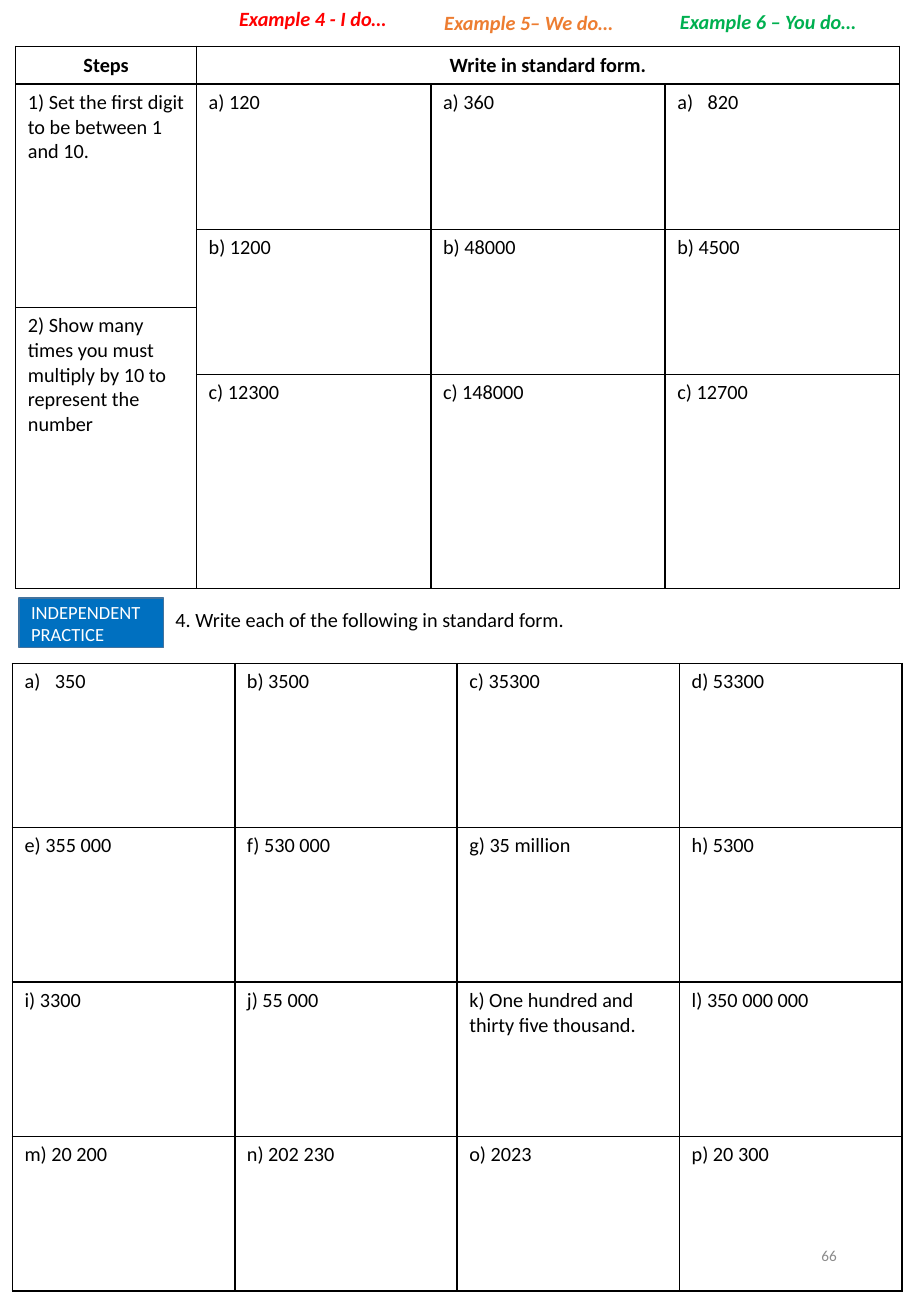
from dataclasses import dataclass

from lxml import etree
from pptx import Presentation
from pptx.dml.color import RGBColor
from pptx.enum.shapes import MSO_SHAPE
from pptx.enum.text import MSO_ANCHOR, MSO_AUTO_SIZE, PP_ALIGN
from pptx.oxml.ns import qn
from pptx.util import Cm, Pt

LEFT, CENTER, RIGHT = PP_ALIGN.LEFT, PP_ALIGN.CENTER, PP_ALIGN.RIGHT
TOP, MIDDLE = MSO_ANCHOR.TOP, MSO_ANCHOR.MIDDLE
RECTANGLE = MSO_SHAPE.RECTANGLE
GROW = MSO_AUTO_SIZE.SHAPE_TO_FIT_TEXT


@dataclass(frozen=True)
class Theme:
    font: str = "Calibri"
    black: str = "000000"
    white: str = "FFFFFF"
    red: str = "FF0000"
    orange: str = "ED7D31"
    green: str = "00B050"
    blue: str = "0070C0"
    blue_edge: str = "43739E"
    grey: str = "8C8C8C"
    body: float = 12
    label: float = 11
    small: float = 9
    line: float = 1


THEME = Theme()

# (text, first row, first column, last row, last column)
EXAMPLE_CELLS = [
    ("Steps", 0, 0, 0, 0),
    ("Write in standard form.", 0, 1, 0, 3),
    ("1) Set the first digit to be between 1 and 10.", 1, 0, 2, 0),
    ("2) Show many times you must multiply by 10 to represent the number", 3, 0, 4, 0),
    ("a) 120", 1, 1, 1, 1),
    ("a) 360", 1, 2, 1, 2),
    ("820", 1, 3, 1, 3),
    ("b) 1200", 2, 1, 3, 1),
    ("b) 48000", 2, 2, 3, 2),
    ("b) 4500", 2, 3, 3, 3),
    ("c) 12300", 4, 1, 4, 1),
    ("c) 148000", 4, 2, 4, 2),
    ("c) 12700", 4, 3, 4, 3),
]
PRACTICE_ROWS = [
    ["350", "b) 3500", "c) 35300", "d) 53300"],
    ["e) 355 000", "f) 530 000", "g) 35 million", "h) 5300"],
    ["i) 3300", "j) 55 000", "k) One hundred and thirty five thousand.", "l) 350 000 000"],
    ["m) 20 200", "n) 202 230", "o) 2023", "p) 20 300"],
]
EXAMPLE_HEADINGS = [
    ("Example 4 - I do…", THEME.red, 4.75, 0, 3.63),
    ("Example 5– We do…", THEME.orange, 9.04, 0.1, 4.09),
    ("Example 6 – You do…", THEME.green, 13.97, 0.07, 4.24),
]


def write(frame, text, size=THEME.body, color=THEME.black, bold=False,
          italic=False, align=LEFT):
    frame.text = text
    para = frame.paragraphs[0]
    para.alignment = align
    for span in para.runs:
        span.font.name = THEME.font
        span.font.size = Pt(size)
        span.font.color.rgb = RGBColor.from_string(color)
        span.font.bold = bold
        span.font.italic = italic


def number_with_letter(para):
    """Give the paragraph an automatic "a)" with a hanging indent."""
    properties = para._p.get_or_add_pPr()
    properties.set("marL", str(Cm(0.635)))
    properties.set("indent", str(-Cm(0.635)))
    etree.SubElement(properties, qn("a:buAutoNum"), type="alphaLcParenR")


def outline_cell(cell):
    properties = cell._tc.get_or_add_tcPr()
    for side in ("lnL", "lnR", "lnT", "lnB"):
        edge = etree.SubElement(properties, qn("a:" + side), w=str(Pt(THEME.line)))
        fill = etree.SubElement(edge, qn("a:solidFill"))
        etree.SubElement(fill, qn("a:srgbClr"), val=THEME.black)


def add_grid(page, left, top, widths, heights, fill=None):
    """Add a ruled table without a banded style; sizes are in centimetres."""
    table = page.shapes.add_table(
        len(heights), len(widths), Cm(left), Cm(top),
        Cm(sum(widths)), Cm(sum(heights))).table
    table.first_row = table.horz_banding = False
    for column, width in zip(table.columns, widths):
        column.width = Cm(width)
    for row, height in zip(table.rows, heights):
        row.height = Cm(height)
    for cell in table.iter_cells():
        outline_cell(cell)
        if fill:
            cell.fill.solid()
            cell.fill.fore_color.rgb = RGBColor.from_string(fill)
        else:
            cell.fill.background()
    return table


def add_text(page, text, left, top, width, height, wrap=True, anchor=TOP, **style):
    box = page.shapes.add_textbox(Cm(left), Cm(top), Cm(width), Cm(height))
    frame = box.text_frame
    frame.word_wrap = wrap
    frame.vertical_anchor = anchor
    write(frame, text, **style)
    return box


def add_examples(page, left, top):
    table = add_grid(page, left, top, [3.78] + [4.9] * 3,
                     [0.79, 3.04, 1.63, 1.4, 4.47], THEME.white)
    for text, row, column, last_row, last_column in EXAMPLE_CELLS:
        cell = table.cell(row, column)
        if (row, column) != (last_row, last_column):
            cell.merge(table.cell(last_row, last_column))
        heading = row == 0
        cell.vertical_anchor = MIDDLE if heading else TOP
        write(cell.text_frame, text, bold=heading, align=CENTER if heading else LEFT)
    number_with_letter(table.cell(1, 3).text_frame.paragraphs[0])


def add_headings(page, height):
    for text, color, left, top, width in EXAMPLE_HEADINGS:
        box = add_text(page, text, left, top, width, height, wrap=False,
                       color=color, bold=True, italic=True)
        box.text_frame.auto_size = GROW


def add_practice_heading(page, left, top, width, height):
    label = page.shapes.add_shape(RECTANGLE, Cm(left), Cm(top), Cm(width), Cm(height))
    label.shadow.inherit = False
    label.fill.solid()
    label.fill.fore_color.rgb = RGBColor.from_string(THEME.blue)
    label.line.color.rgb = RGBColor.from_string(THEME.blue_edge)
    label.line.width = Pt(THEME.line)
    label.text_frame.vertical_anchor = MIDDLE
    label.text_frame.word_wrap = True
    write(label.text_frame, "INDEPENDENT PRACTICE", THEME.label, THEME.white)
    task = add_text(page, "4. Write each of the following in standard form.",
                    left + width, top + 0.08, 9.25, 0.76)
    task.text_frame.auto_size = GROW


def add_practice(page, left, top):
    table = add_grid(page, left, top, [4.65] * 4, [3.43] + [3.23] * 3)
    for row, texts in enumerate(PRACTICE_ROWS):
        for column, text in enumerate(texts):
            write(table.cell(row, column).text_frame, text)
    number_with_letter(table.cell(0, 0).text_frame.paragraphs[0])


def main():
    deck = Presentation()
    deck.slide_width, deck.slide_height = Cm(19.05), Cm(27.51)
    blank_layout = deck.slide_layouts[6]
    page = deck.slides.add_slide(blank_layout)
    add_examples(page, 0.33, 0.97)
    add_headings(page, 0.76)
    add_practice_heading(page, 0.4, 12.5, 3.02, 1.04)
    add_practice(page, 0.26, 13.87)
    add_text(page, "66", 13.46, 25.5, 4.29, 1.47, anchor=MIDDLE,
             size=THEME.small, color=THEME.grey, align=RIGHT)
    deck.save("out.pptx")


if __name__ == "__main__":
    main()
